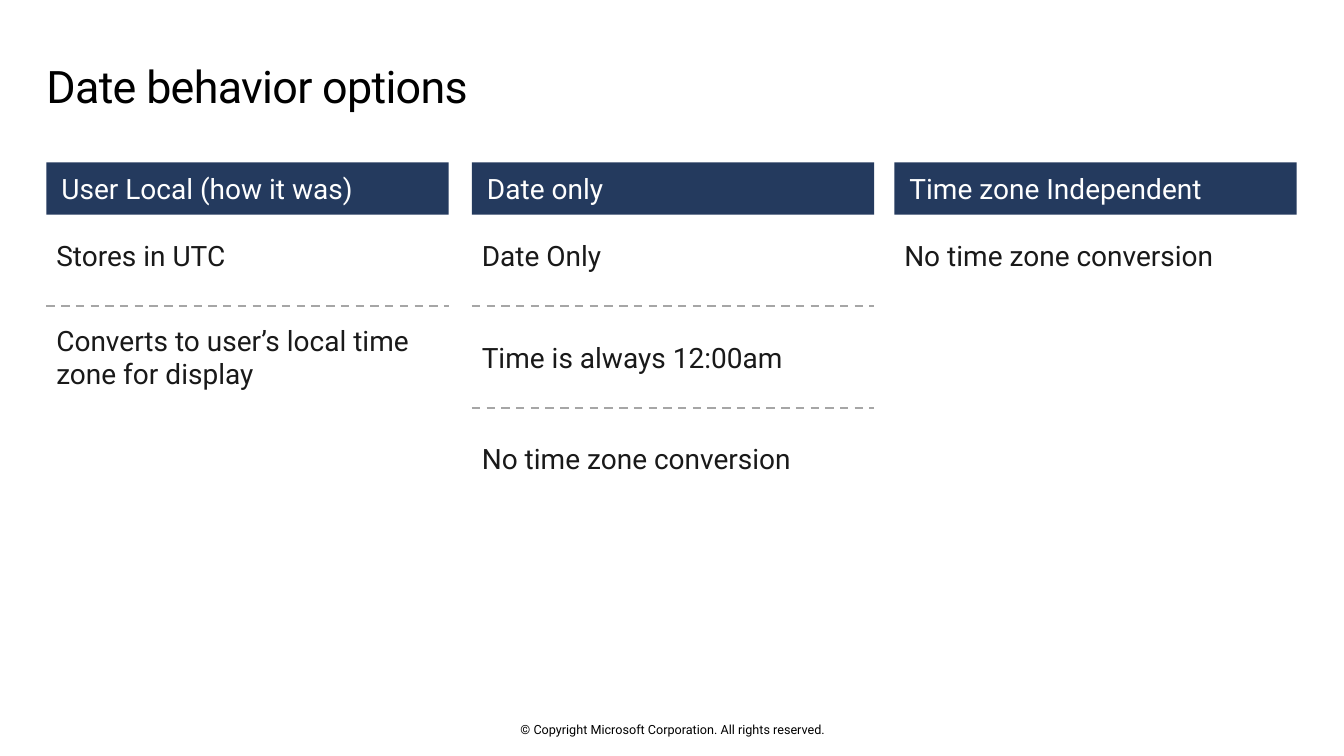
from pptx import Presentation
from pptx.dml.color import RGBColor
from pptx.enum.dml import MSO_LINE
from pptx.enum.shapes import MSO_CONNECTOR, MSO_SHAPE
from pptx.enum.text import MSO_ANCHOR as Anchor, MSO_AUTO_SIZE, PP_ALIGN as Align
from pptx.oxml.ns import qn
from pptx.util import Inches, Pt

COLUMN_WIDTH = 3.99
ROW_TOP = 2.16
ROW_STEP = 1.005
ROW_HEIGHT = 0.75
DIVIDER_OFFSET = 0.88
COLUMNS = [
    (0.46, "User Local (how it was)",
     ["Stores in UTC", "Converts to user’s local time zone for display"]),
    (4.68, "Date only",
     ["Date Only", "Time is always 12:00am", "No time zone conversion"]),
    (8.87, "Time zone Independent", ["No time zone conversion"]),
]


def color(value):
    return RGBColor.from_string(value)


def set_text(shape, text, size, font_color, insets=(0.1, 0.05, 0.1, 0.05),
             align=Align.LEFT, anchor=Anchor.MIDDLE):
    frame = shape.text_frame
    frame.text = text
    frame.word_wrap = True
    frame.auto_size = MSO_AUTO_SIZE.NONE
    frame.vertical_anchor = anchor
    (frame.margin_left, frame.margin_top,
     frame.margin_right, frame.margin_bottom) = map(Inches, insets)
    paragraph = frame.paragraphs[0]
    paragraph.alignment = align
    paragraph.font.name = "Roboto"
    paragraph.font.size = Pt(size)
    paragraph.font.color.rgb = color(font_color)


def add_title(slide, text):
    title = slide.shapes.title
    title.left, title.top = Inches(0.46), Inches(0.48)
    title.width, title.height = Inches(12.4), Inches(0.74)
    set_text(title, text, 32, "000000", (0, 0.1, 0.16, 0.1), anchor=Anchor.TOP)
    run = title.text_frame.paragraphs[0].runs[0]
    run.font._element.set("spc", "-50")


def add_label(slide, left, top, width, height, text, size, font_color, **options):
    label = slide.shapes.add_textbox(
        Inches(left), Inches(top), Inches(width), Inches(height))
    set_text(label, text, size, font_color, **options)


def add_header(slide, left, text):
    header = slide.shapes.add_shape(
        MSO_SHAPE.RECTANGLE, Inches(left), Inches(1.61),
        Inches(COLUMN_WIDTH), Inches(0.52))
    header.shadow.inherit = False
    header.fill.solid()
    header.fill.fore_color.rgb = color("243A5E")
    header.line.fill.background()
    set_text(header, text, 20, "FFFFFF", (0.15, 0.08, 0.15, 0.08))


def add_divider(slide, left, top):
    divider = slide.shapes.add_connector(
        MSO_CONNECTOR.STRAIGHT, Inches(left), Inches(top),
        Inches(left + COLUMN_WIDTH), Inches(top))
    divider.line.color.rgb = color("A6A6A6")
    divider.line.width = Pt(1.5)
    divider.line.dash_style = MSO_LINE.DASH
    properties = divider._element.spPr
    properties.append(properties.makeelement(qn("a:effectLst"), {}))


def add_column(slide, left, heading, items):
    add_header(slide, left, heading)
    for row, item in enumerate(items):
        top = ROW_TOP + row * ROW_STEP
        add_label(slide, left, top, COLUMN_WIDTH, ROW_HEIGHT, item, 20, "191919")
        if row < len(items) - 1:
            add_divider(slide, left, top + DIVIDER_OFFSET)


def main():
    presentation = Presentation()
    presentation.slide_width = Inches(13.33)
    presentation.slide_height = Inches(7.5)
    slide = presentation.slides.add_slide(presentation.slide_layouts[5])
    add_title(slide, "Date behavior options")
    for left, heading, items in COLUMNS:
        add_column(slide, left, heading, items)
    add_label(slide, 4.42, 7.16, 4.5, 0.15,
              "© Copyright Microsoft Corporation. All rights reserved.",
              9, "000000", insets=(0, 0, 0, 0), align=Align.CENTER)
    presentation.save("out.pptx")


if __name__ == "__main__":
    main()
